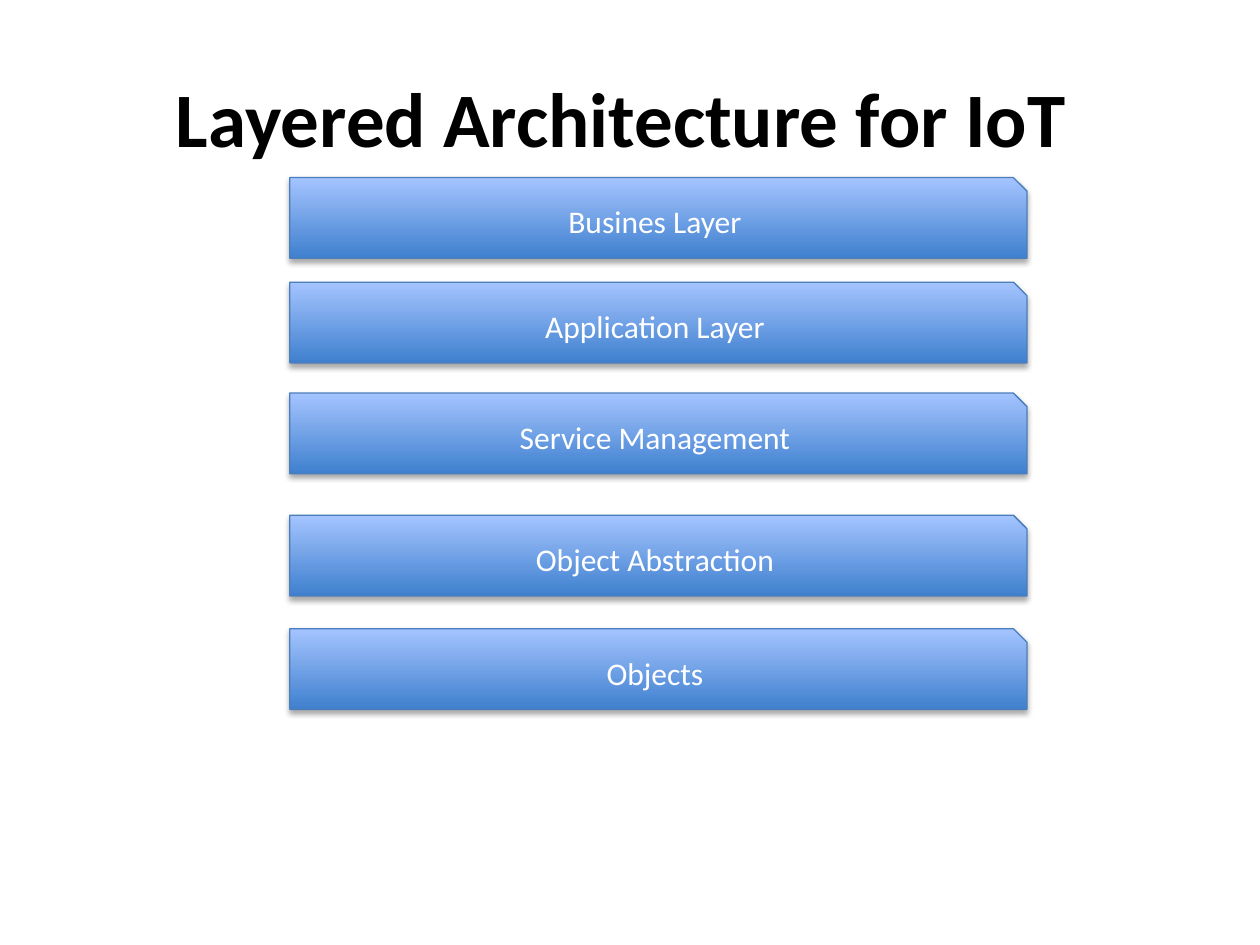
from lxml.etree import SubElement
from pptx import Presentation
from pptx.dml.color import RGBColor
from pptx.enum.shapes import MSO_SHAPE
from pptx.enum.text import MSO_ANCHOR, PP_ALIGN
from pptx.oxml.ns import qn
from pptx.util import Inches, Pt

BLACK = RGBColor(0x00, 0x00, 0x00)
WHITE = RGBColor(0xFF, 0xFF, 0xFF)
DEEP_BLUE = RGBColor(0x3F, 0x80, 0xCE)
PALE_BLUE = RGBColor(0xA4, 0xC4, 0xFF)
EDGE_BLUE = RGBColor(0x4B, 0x7E, 0xBC)

TITLE_FORMAT = {"name": "Calibri", "size": Pt(44), "bold": True}
LAYER_FORMAT = {"name": "Calibri", "size": Pt(18), "bold": False}

LAYER_LEFT, LAYER_WIDTH, LAYER_HEIGHT = 2.3, 5.85, 0.64
LAYERS = [
    ("Busines Layer", 1.41),
    ("Application Layer", 2.24),
    ("Service Management", 3.12),
    ("Object Abstraction", 4.09),
    ("Objects", 4.99),
]


def write_centred(shape, text, color, font_format):
    frame = shape.text_frame
    frame.word_wrap = True
    frame.vertical_anchor = MSO_ANCHOR.MIDDLE
    para = frame.paragraphs[0]
    para.alignment = PP_ALIGN.CENTER
    span = para.add_run()
    span.text = text
    for name, value in font_format.items():
        setattr(span.font, name, value)
    span.font.color.rgb = color


def add_title(page, text):
    title = page.shapes.title
    place = {"left": 0.5, "top": 0.3, "width": 9, "height": 1.25}
    for name, value in place.items():
        setattr(title, name, Inches(value))
    write_centred(title, text, BLACK, TITLE_FORMAT)


def add_soft_shadow(shape):
    """Drop a blurred black shadow straight down, at 35% opacity."""
    shape.shadow.inherit = False
    effects = shape._element.spPr.find(qn("a:effectLst"))
    shadow = SubElement(effects, qn("a:outerShdw"), blurRad=str(Pt(3.1)),
                        dist=str(Pt(1.8)), dir="5400000", rotWithShape="0")
    color = SubElement(shadow, qn("a:srgbClr"), val=str(BLACK))
    SubElement(color, qn("a:alpha"), val="35000")


def add_layer(page, text, top):
    bar = page.shapes.add_shape(
        MSO_SHAPE.SNIP_1_RECTANGLE, Inches(LAYER_LEFT), Inches(top),
        Inches(LAYER_WIDTH), Inches(LAYER_HEIGHT))
    bar.fill.gradient()
    bar.fill.gradient_angle = 90
    for stop, color in zip(bar.fill.gradient_stops, (DEEP_BLUE, PALE_BLUE)):
        stop.color.rgb = color
    bar.line.color.rgb = EDGE_BLUE
    bar.line.width = Pt(0.75)
    add_soft_shadow(bar)
    write_centred(bar, text, WHITE, LAYER_FORMAT)


def main():
    deck = Presentation()
    deck.slide_width, deck.slide_height = Inches(10), Inches(7.5)
    page = deck.slides.add_slide(deck.slide_layouts.get_by_name("Title Only"))
    add_title(page, "Layered Architecture for IoT ")
    for text, top in LAYERS:
        add_layer(page, text, top)
    deck.save("out.pptx")


if __name__ == "__main__":
    main()
